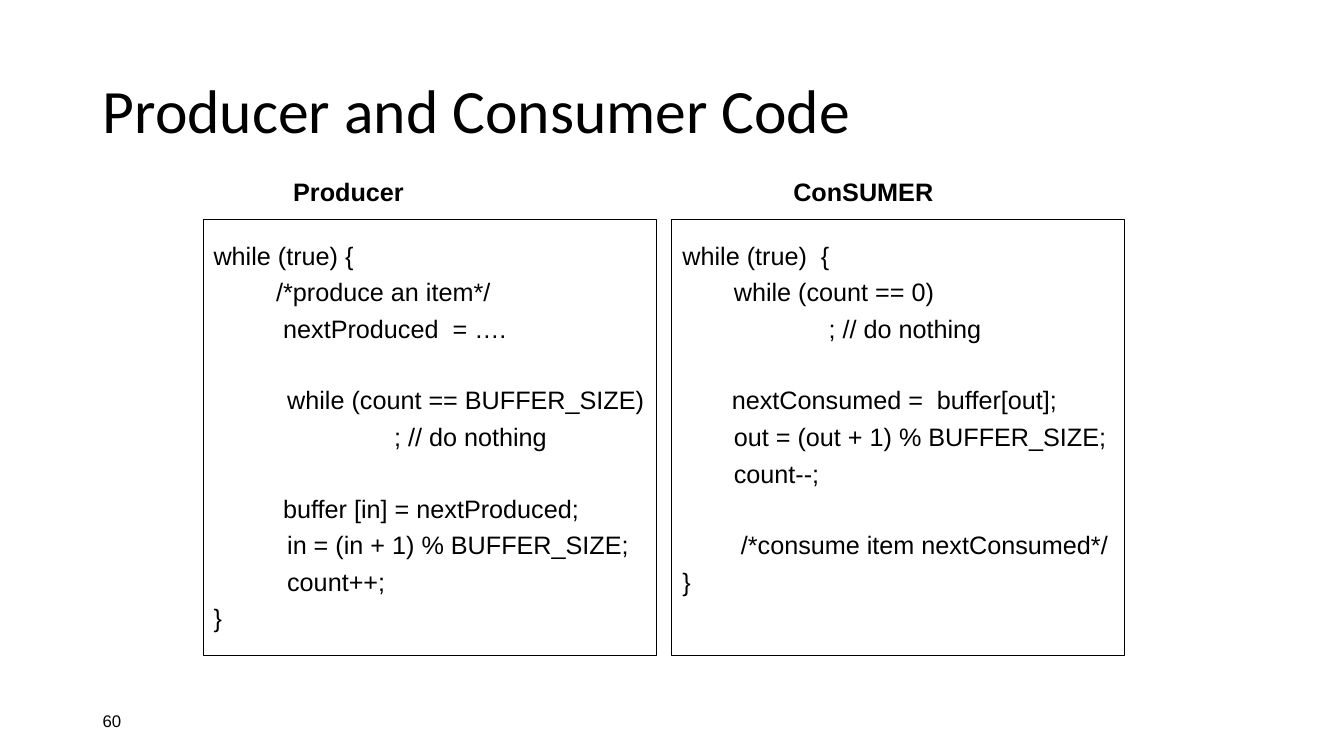
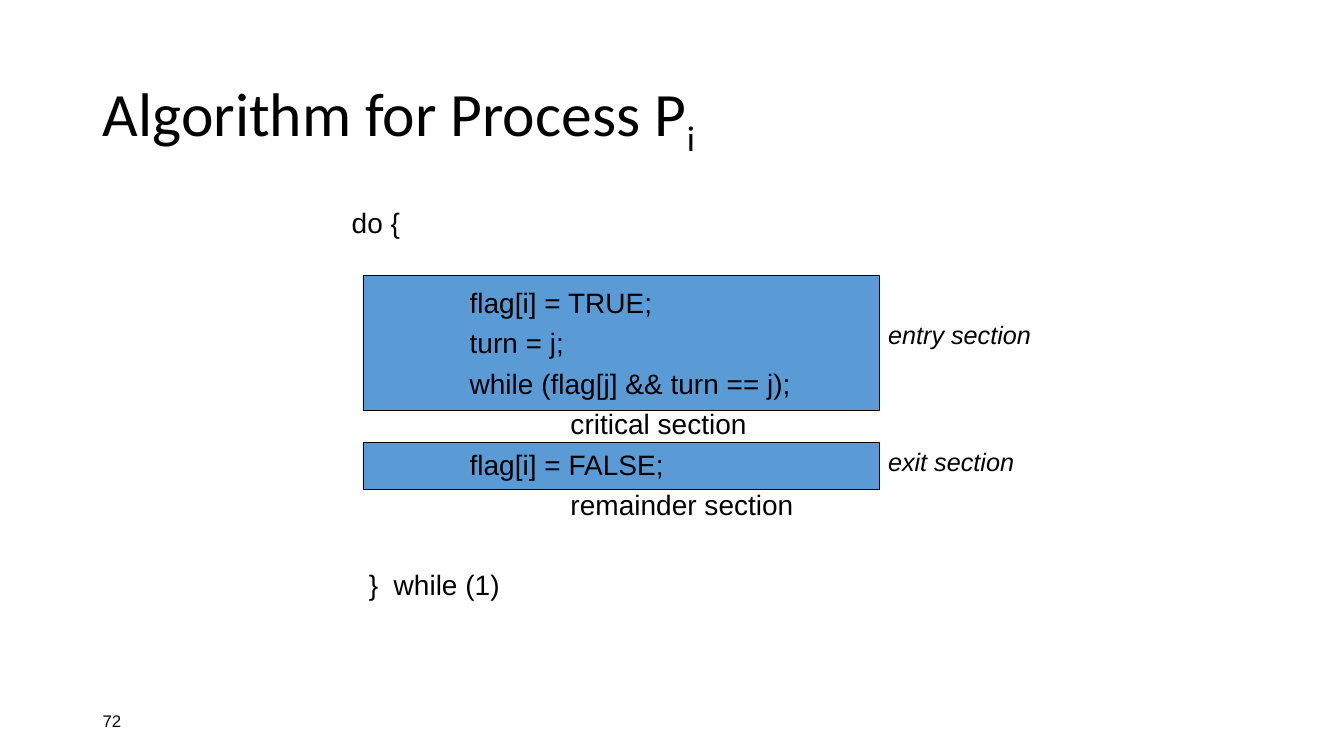
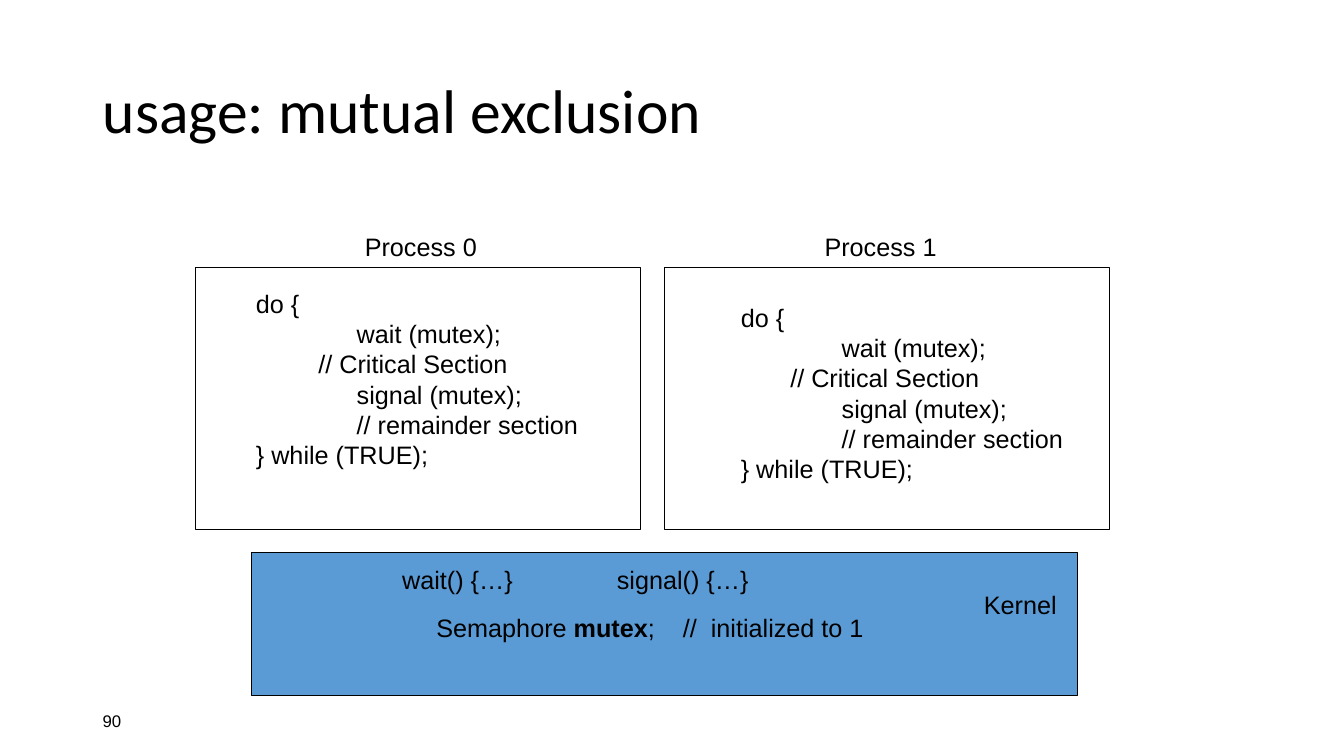
from pptx import Presentation
from pptx.dml.color import RGBColor
from pptx.enum.shapes import MSO_SHAPE as Shape
from pptx.enum.text import MSO_ANCHOR as Anchor, MSO_AUTO_SIZE as Fit, PP_ALIGN as Align
from pptx.util import Inches, Pt

# Shared look
BLACK, BLUE = "000000", "5B9BD5"
BODY, HEAD = "Arial", "Calibri"
TITLE = (0.92, 0.4, 11.5, 1.45)
NUMBER = (0.92, 6.95, 3, 0.4)
hue = RGBColor.from_string


def write(shape, lines, size=18, font=BODY, gap=0, lead=None,
          anchor=Anchor.TOP, bold=False, italic=False):
    """Lines are (indent, text) pairs; None leaves one line free.
    Text is a string or a list of (string, style) runs."""
    frame = shape.text_frame
    frame.word_wrap, frame.auto_size = True, Fit.NONE
    frame.vertical_anchor = anchor
    para, space = None, 0
    for line in lines:
        if line is None:
            space += size * 1.15 + gap
            continue
        indent, text = line
        para = frame.add_paragraph() if para else frame.paragraphs[0]
        para.alignment, para.line_spacing = Align.LEFT, lead
        para.space_before = Pt(space)
        props = para._p.get_or_add_pPr()
        props.set("marL", str(Inches(indent)))
        props.set("indent", "0")
        for part, style in [(text, "")] if isinstance(text, str) else text:
            run = para.add_run()
            run.text = part
            run.font.name, run.font.size = font, Pt(size)
            run.font.color.rgb = hue(BLACK)
            run.font.bold = bold or style == "bold"
            run.font.italic = italic
            if style == "sub":
                run._r.get_or_add_rPr().set("baseline", "-25000")
        space = gap


# Code listings
maker = [
    (0, "while (true) {"),
    (0.62, "/*produce an item*/"),
    (0.69, "nextProduced  = …."),
    None,
    (0.73, "while (count == BUFFER_SIZE)"),
    (1.79, "; // do nothing"),
    None,
    (0.69, "buffer [in] = nextProduced;"),
    (0.73, "in = (in + 1) % BUFFER_SIZE;"),
    (0.73, "count++;"),
    (0, "}"),
]
taker = [
    (0, "while (true)  {"),
    (0.51, "while (count == 0)"),
    (1.45, "; // do nothing"),
    None,
    (0.49, "nextConsumed =  buffer[out];"),
    (0.51, "out = (out + 1) % BUFFER_SIZE;"),
    (0.51, "count--;"),
    None,
    (0.58, "/*consume item nextConsumed*/"),
    (0, "}"),
]
entry = [
    (0.21, "do {"),
    None,
    (1.38, "flag[i] = TRUE;"),
    (1.38, "turn = j;"),
    (1.38, "while (flag[j] && turn == j);"),
    (2.38, "critical section"),
    (1.38, "flag[i] = FALSE;"),
    (2.38, "remainder section"),
    None,
    (0.38, "}  while (1)"),
]
guard, twin = [[
    (0.5, "do {"),
    (1.5, "wait (mutex);"),
    (note, "// Critical Section"),
    (1.5, "signal (mutex);"),
    (1.5, "// remainder section"),
    (0.5, "} while (TRUE);"),
] for note in (1.12, 0.99)]
mutex = [("Semaphore ", ""), ("mutex", "bold"), (";    //  initialized to 1", "")]

# Slides: title, number, boxes (place, fill), texts (place, lines, format)
loose, wide = dict(gap=4.5), dict(size=20, gap=4.9)
strong, slant = dict(bold=True), dict(italic=True)
deck = [
    ("Producer and Consumer Code", "60",
     [((x, 2.17, 4.49, 4.33), None) for x in (2.02, 6.66)],
     [((2.02, 2.33, 4.57, 4.41), maker, loose),
      ((6.67, 2.33, 5.28, 4.41), taker, loose),
      ((2.81, 1.7, 1.64, 0.41), "Producer", strong),
      ((7.77, 1.7, 1.67, 0.41), "ConSUMER", strong)]),
    ([("Algorithm for Process P", ""), ("i", "sub")], "72",
     [((3.6, 4.39, 5.12, 0.46), BLUE), ((3.6, 2.73, 5.12, 1.34), BLUE)],
     [((3.18, 1.99, 7.35, 4.35), entry, wide),
      ((8.71, 3.12, 1.68, 0.41), "entry section", slant),
      ((8.71, 4.38, 1.5, 0.41), "exit section", slant)]),
    ("usage: mutual exclusion", "90",
     [((2.49, 5.48, 8.19, 1.42), BLUE)]
     + [((x, 2.65, 4.41, 2.6), None) for x in (1.94, 6.59)],
     [((1.94, 2.81, 4.57, 1.9), guard, {}),
      ((6.75, 2.95, 4.57, 1.9), twin, {}),
      ((4.23, 6.03, 4.52, 0.41), [(0, mutex)], {}),
      ((9.66, 5.8, 0.97, 0.41), "Kernel", {}),
      ((3.52, 2.25, 1.36, 0.41), "Process 0", {}),
      ((8.08, 2.25, 1.36, 0.41), "Process 1", {}),
      ((3.89, 5.55, 1.35, 0.41), "wait() {…}", {}),
      ((6.02, 5.55, 1.56, 0.41), "signal() {…}", {})]),
]

show = Presentation()
show.slide_width, show.slide_height = Inches(13.33), Inches(7.5)
plain = show.slide_layouts[5]

for title, number, boxes, texts in deck:
    slide = show.slides.add_slide(plain)

    # Title
    head = slide.shapes.title
    head.left, head.top, head.width, head.height = map(Inches, TITLE)
    write(head, [(0, title)], size=44, font=HEAD, lead=0.9, anchor=Anchor.MIDDLE)

    # Boxes
    for place, fill in boxes:
        box = slide.shapes.add_shape(Shape.RECTANGLE, *map(Inches, place))
        box.shadow.inherit = False
        box.line.color.rgb, box.line.width = hue(BLACK), Pt(0.25)
        if fill:
            box.fill.solid()
            box.fill.fore_color.rgb = hue(fill)
        else:
            box.fill.background()

    # Code, labels and slide number
    foot = (NUMBER, number, dict(size=12, anchor=Anchor.MIDDLE))
    for place, lines, style in texts + [foot]:
        label = slide.shapes.add_textbox(*map(Inches, place))
        write(label, [(0, lines)] if isinstance(lines, str) else lines, **style)

show.save("out.pptx")
